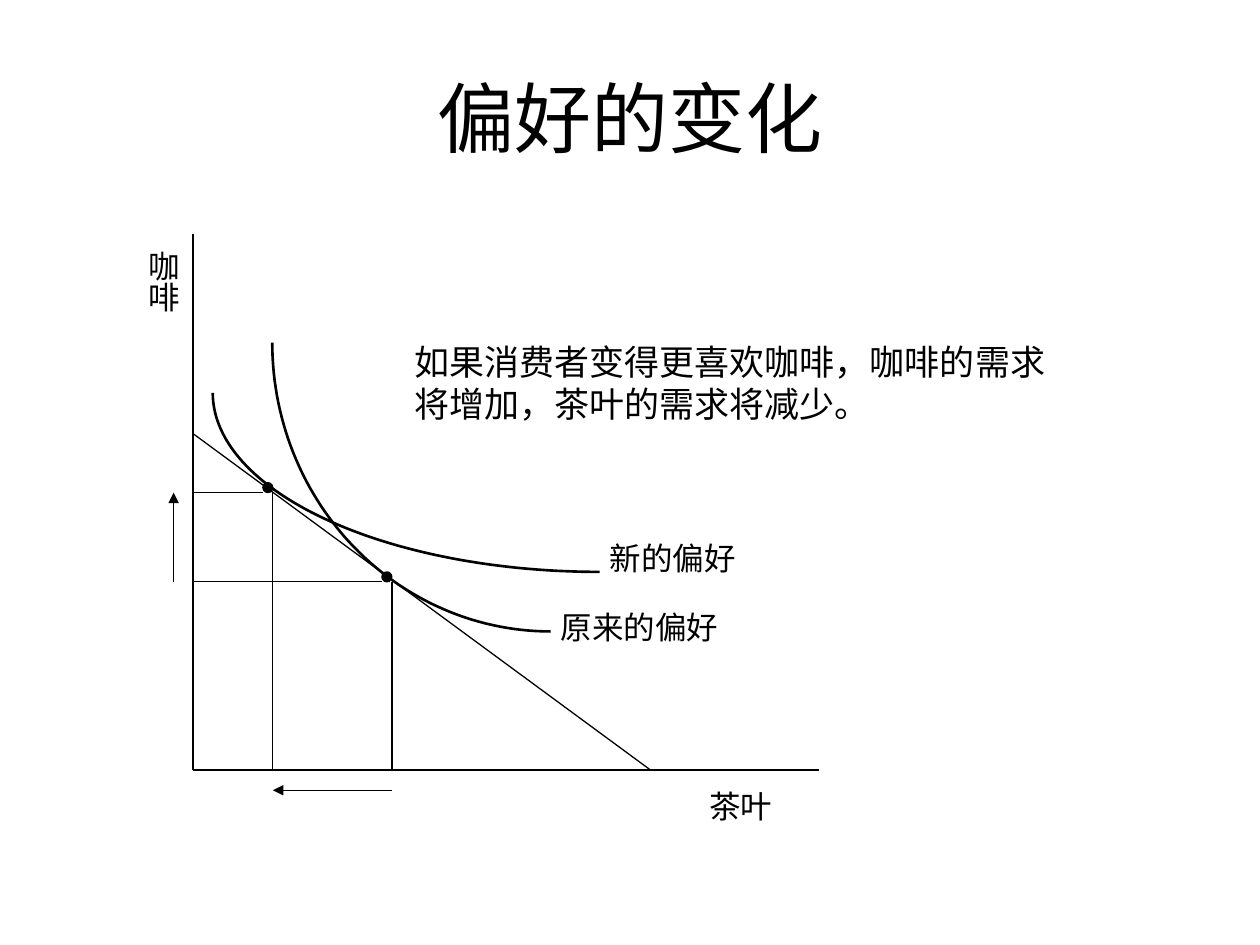
import math

from lxml import etree
from pptx import Presentation
from pptx import util as u
from pptx.dml.color import RGBColor
from pptx.enum import shapes, text
from pptx.oxml.ns import qn

# Content: all lengths in centimetres
COLORS = {"ink": "000000"}
FONT = "Arial"
TITLE = "偏好的变化"
AXIS_LEFT, AXIS_TOP, AXIS_RIGHT, AXIS_BOTTOM = 3.89, 4.72, 16.51, 15.52
BUDGET_TOP, BUDGET_RIGHT = 8.74, 13.11
DOT = 0.2
ARROW_X, ARROW_Y = 3.5, 15.93

# Indifference curves: left, top, right, bottom
CURVES = [(5.49, 6.91, 11.1, 12.73), (4.29, 7.92, 12.09, 11.53)]
# Left and top of the tangency dots
OLD_CHOICE, NEW_CHOICE = (7.7, 11.53), (5.3, 9.73)
# Lines, left, top, width, height, size, vertical
LABELS = [
    (["原来的偏好"], 11.05, 12.14, 3.68, 1.02, 18, False),
    (["新的偏好"], 12.04, 10.74, 3.05, 1.02, 18, False),
    (["如果消费者变得更喜欢咖啡，咖啡的需求", "将增加，茶叶的需求将减少。"],
     8.1, 6.73, 13.23, 1.96, 20, False),
    (["茶叶"], 14.05, 15.75, 1.78, 1.02, 18, False),
    (["咖啡"], 2.54, 4.8, 1.27, 1.52, 18, True),
]


def color(name):
    return RGBColor.from_string(COLORS[name])


def set_line(shape, width):
    shape.line.color.rgb = color("ink")
    shape.line.width = u.Pt(width)


def set_font(paragraph, size):
    paragraph.font.name = FONT
    paragraph.font.size = u.Pt(size)
    paragraph.font.color.rgb = color("ink")


def add_line(slide, start, end, arrow=False):
    points = [u.Cm(value) for value in (*start, *end)]
    line = slide.shapes.add_connector(shapes.MSO_CONNECTOR.STRAIGHT, *points)
    set_line(line, 0.75)
    properties = line._element.spPr
    if arrow:
        etree.SubElement(properties.find(qn("a:ln")), qn("a:tailEnd"), type="triangle")
    etree.SubElement(properties, qn("a:effectLst"))


def add_curve(slide, left, top, right, bottom, steps=60):
    """Draw the lower left quarter of an ellipse."""
    angles = [math.pi / 2 * step / steps for step in range(steps + 1)]
    points = [(u.Cm(right - (right - left) * math.sin(angle)),
               u.Cm(top + (bottom - top) * math.cos(angle))) for angle in angles]
    builder = slide.shapes.build_freeform(*points[0])
    builder.add_line_segments(points[1:], close=False)
    curve = builder.convert_to_shape()
    curve.shadow.inherit = False
    curve.fill.background()
    set_line(curve, 1.5)


def add_dot(slide, left, top):
    dot = slide.shapes.add_shape(
        shapes.MSO_SHAPE.OVAL, u.Cm(left), u.Cm(top), u.Cm(DOT), u.Cm(DOT))
    dot.shadow.inherit = False
    dot.fill.solid()
    dot.fill.fore_color.rgb = color("ink")
    set_line(dot, 0.75)


def add_label(slide, lines, left, top, width, height, size, vertical):
    box = slide.shapes.add_textbox(u.Cm(left), u.Cm(top), u.Cm(width), u.Cm(height))
    frame = box.text_frame
    frame.word_wrap = False
    frame.auto_size = text.MSO_AUTO_SIZE.SHAPE_TO_FIT_TEXT
    frame.text = "\n".join(lines)
    for paragraph in frame.paragraphs:
        set_font(paragraph, size)
    if vertical:
        frame.margin_left = frame.margin_right = u.Cm(0.13)
        frame.margin_top = frame.margin_bottom = u.Cm(0.25)
        frame._txBody.bodyPr.set("vert", "eaVert")


def main():
    presentation = Presentation()
    presentation.slide_width, presentation.slide_height = u.Cm(25.4), u.Cm(19.05)
    slide = presentation.slides.add_slide(presentation.slide_layouts[5])

    # Title
    title = slide.shapes.title
    title.left, title.top, title.width, title.height = (
        u.Cm(value) for value in (1.27, 0.76, 22.86, 3.18))
    title.text_frame.text = TITLE
    title.text_frame.vertical_anchor = text.MSO_ANCHOR.MIDDLE
    title.text_frame.paragraphs[0].alignment = text.PP_ALIGN.CENTER
    set_font(title.text_frame.paragraphs[0], 44)

    # Axes, budget line and curves
    origin = (AXIS_LEFT, AXIS_BOTTOM)
    add_line(slide, (AXIS_LEFT, AXIS_TOP), origin)
    add_line(slide, origin, (AXIS_RIGHT, AXIS_BOTTOM))
    add_line(slide, (AXIS_LEFT, BUDGET_TOP), (BUDGET_RIGHT, AXIS_BOTTOM))
    for curve in CURVES:
        add_curve(slide, *curve)

    # Choices with guides to both axes
    for left, top in (OLD_CHOICE, NEW_CHOICE):
        right, bottom = left + DOT, top + DOT
        add_dot(slide, left, top)
        add_line(slide, (left, bottom), (AXIS_LEFT, bottom))
        add_line(slide, (right, bottom), (right, AXIS_BOTTOM))

    # Arrows from the old choice to the new one
    (old_x, old_y), (new_x, new_y) = (
        (left + DOT, top + DOT) for left, top in (OLD_CHOICE, NEW_CHOICE))
    add_line(slide, (old_x, ARROW_Y), (new_x, ARROW_Y), arrow=True)
    add_line(slide, (ARROW_X, old_y), (ARROW_X, new_y), arrow=True)

    # Labels
    for label in LABELS:
        add_label(slide, *label)

    presentation.save("out.pptx")


if __name__ == "__main__":
    main()
